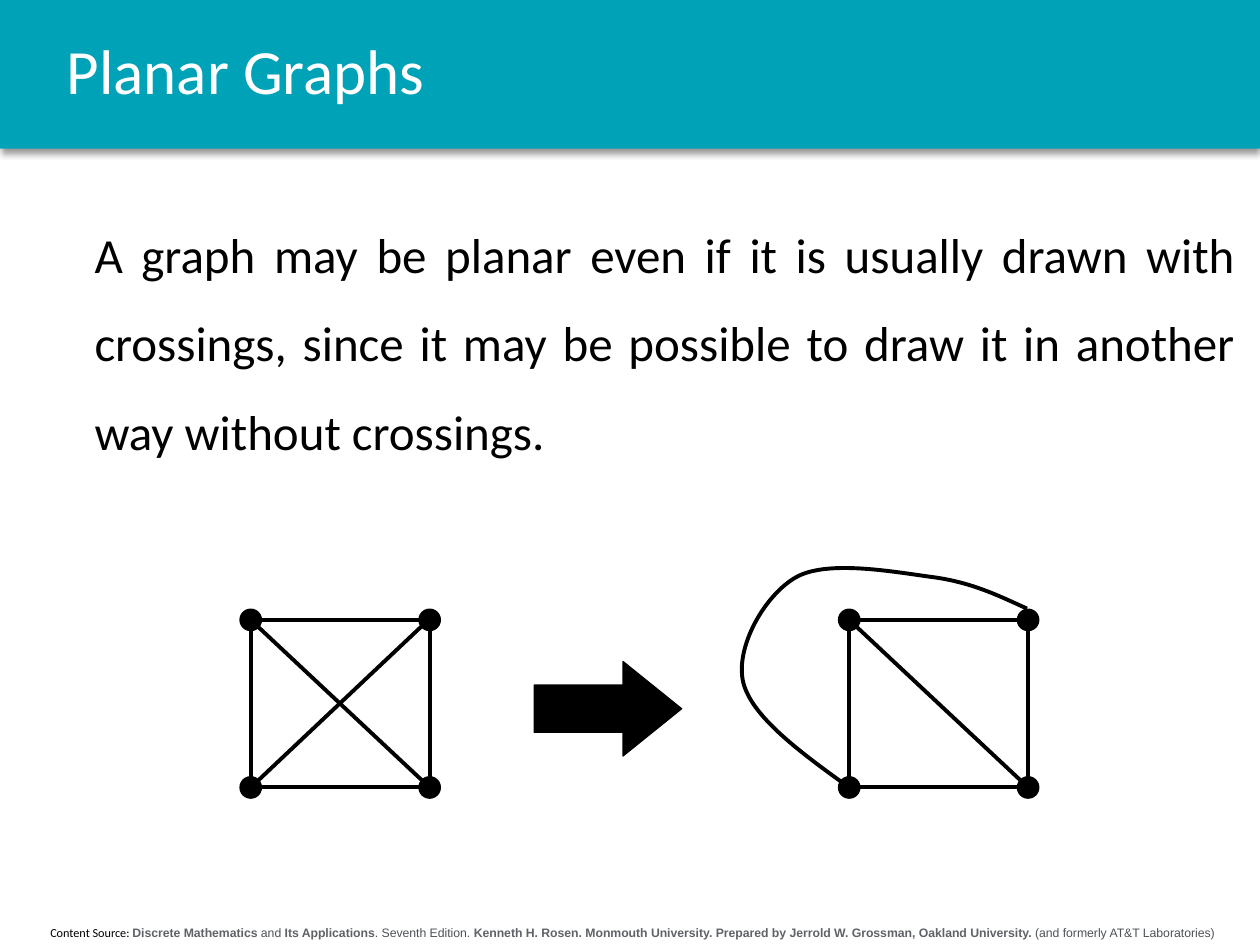
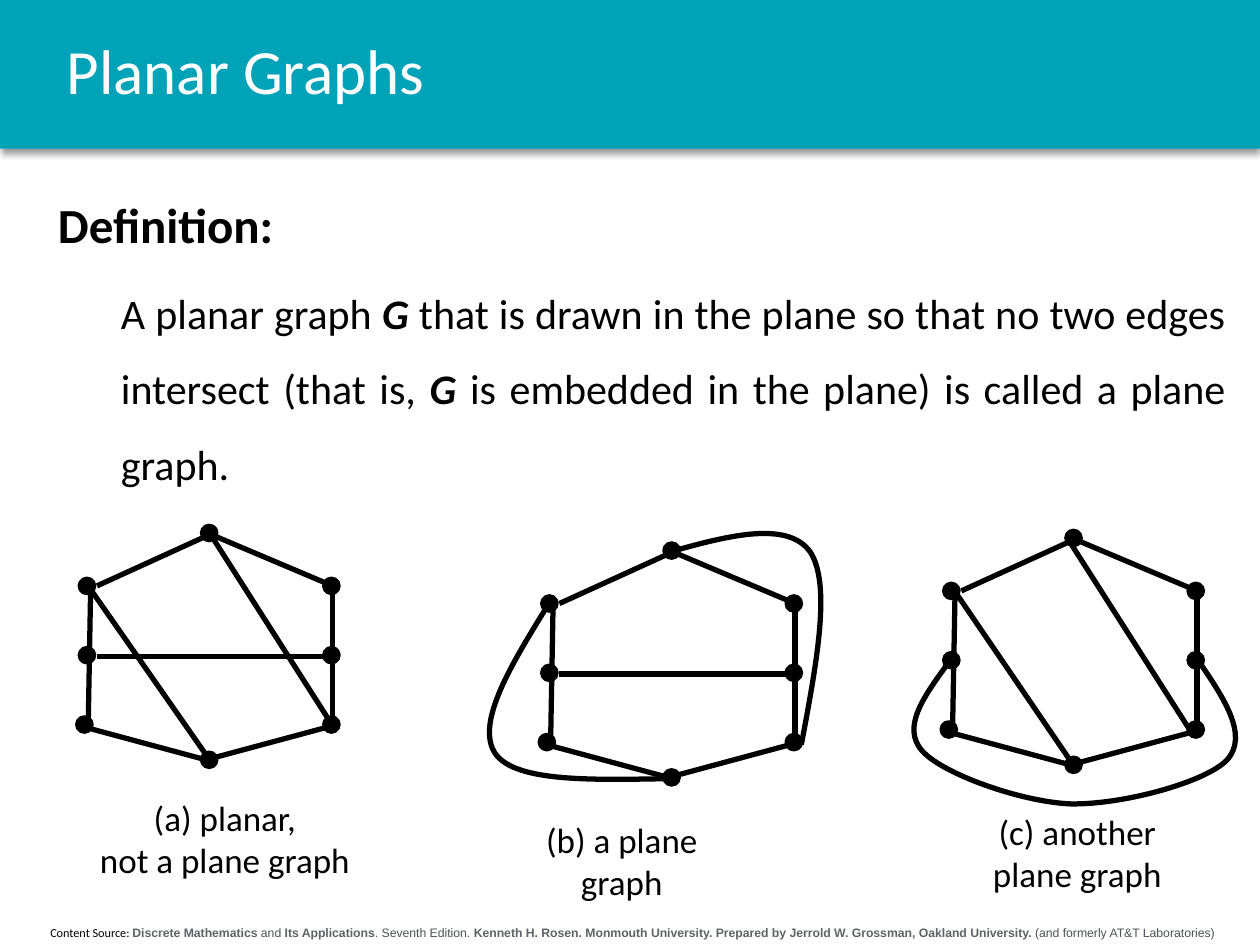
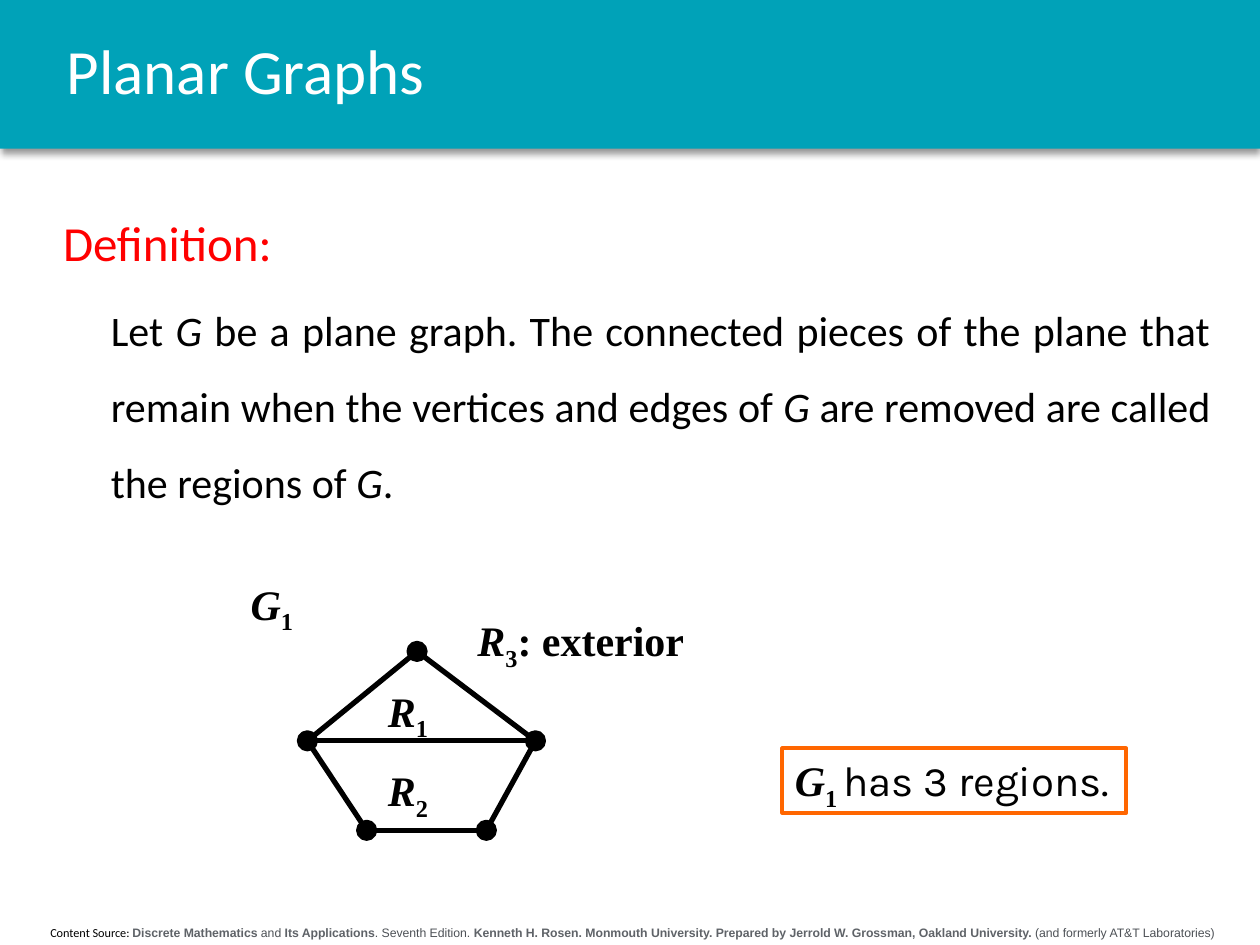
import dataclasses
import typing

import lxml.etree
import pptx
import pptx.dml.color
import pptx.enum.shapes
import pptx.enum.text
import pptx.oxml.ns
import pptx.util

Inches = pptx.util.Inches
Pt = pptx.util.Pt
RGBColor = pptx.dml.color.RGBColor
ALIGN = pptx.enum.text.PP_ALIGN
SHAPE = pptx.enum.shapes.MSO_SHAPE
qn = pptx.oxml.ns.qn

TEAL = RGBColor(0x00, 0xA2, 0xB8)
WHITE = RGBColor(0xFF, 0xFF, 0xFF)
BLACK = RGBColor(0x00, 0x00, 0x00)
RED = RGBColor(0xFF, 0x00, 0x00)
ORANGE = RGBColor(0xFF, 0x66, 0x00)
GREY = RGBColor(0x5F, 0x63, 0x68)
DARK_GREY = RGBColor(0x4D, 0x51, 0x56)

SANS = "Calibri"
SERIF = "Times New Roman"


@dataclasses.dataclass
class Run:
    text: str
    bold: typing.Optional[bool] = None
    italic: typing.Optional[bool] = None
    subscript: bool = False
    font: typing.Optional[str] = None
    color: typing.Optional[RGBColor] = None


@dataclasses.dataclass
class BodyParagraph:
    runs: list
    size: int
    color: RGBColor = BLACK
    bold: bool = False
    margin: float = 0


class Deck:
    """Holds the shared style and the slide being drawn."""

    def __init__(self):
        self.presentation = pptx.Presentation()
        self.presentation.slide_width = Inches(10)
        self.presentation.slide_height = Inches(7.5)
        self.layout = self.presentation.slide_layouts[1]
        self.slide = None
        self.shapes = None

    # Slides and their shared parts
    def new_slide(self, title):
        first = self.slide is None
        self.slide = self.presentation.slides.add_slide(self.layout)
        self.shapes = self.slide.shapes
        if first:
            self.furnish_layout()
        shape = self.slide.shapes.title
        self.place(shape, 0.43, 0, 9.3, 1.18)
        shape.text_frame.vertical_anchor = pptx.enum.text.MSO_ANCHOR.MIDDLE
        paragraph = shape.text_frame.paragraphs[0]
        paragraph.line_spacing = 0.9
        self.add_runs(paragraph, [Run(title)], 36, color=WHITE,
                      align=ALIGN.LEFT)

    def furnish_layout(self):
        """Build the band and the source line, then move them to the layout."""
        band = self.shape(SHAPE.RECTANGLE, 0, 0, 10, 1.18, TEAL)
        shadow = lxml.etree.SubElement(
            band.element.spPr.find(qn("a:effectLst")), qn("a:outerShdw"),
            blurRad=str(Pt(4)), dist=str(Pt(3)), dir="5400000",
            algn="t", rotWithShape="0")
        color = lxml.etree.SubElement(shadow, qn("a:srgbClr"), val=str(BLACK))
        lxml.etree.SubElement(color, qn("a:alpha"), val="40000")

        footer = self.text(0.04, 7.29, 9.96, 0.22, [
            Run("Content Source: ", font=SANS, color=BLACK),
            Run("Discrete Mathematics", bold=True),
            Run(" and ", color=DARK_GREY),
            Run("Its Applications", bold=True),
            Run(". Seventh Edition. ", color=DARK_GREY),
            Run("Kenneth H. Rosen. Monmouth University. Prepared by "
                "Jerrold W. Grossman, Oakland University.", bold=True),
            Run(" (and formerly AT&T Laboratories)", color=DARK_GREY),
        ], 7, font="Arial", color=GREY, align=ALIGN.CENTER)

        for number, part in enumerate((band, footer)):
            part.element.nvSpPr.cNvPr.set("id", str(100 + number))
            self.layout.shapes.element.append(part.element)

    def group(self):
        """Send the following shapes to a new group."""
        self.shapes = self.slide.shapes.add_group_shape().shapes

    def end_group(self):
        self.shapes = self.slide.shapes

    # Text
    def place(self, shape, left, top, width, height):
        shape.left, shape.top = Inches(left), Inches(top)
        shape.width, shape.height = Inches(width), Inches(height)

    def add_runs(self, paragraph, runs, size, font=SANS, color=BLACK,
                 bold=False, align=None):
        paragraph.alignment = align
        paragraph.font.size = Pt(size)
        paragraph.font.name = font
        paragraph.font.bold = bold
        paragraph.font.color.rgb = color
        for item in runs:
            for index, line in enumerate(item.text.split("\n")):
                if index:
                    paragraph.add_line_break()
                run = paragraph.add_run()
                run.text = line
                run.font.bold = item.bold
                run.font.italic = item.italic
                run.font.name = item.font
                if item.color is not None:
                    run.font.color.rgb = item.color
                if item.subscript:
                    run.font._element.set("baseline", "-25000")

    def body(self, left, top, width, height, paragraphs):
        shape = self.slide.placeholders[1]
        self.place(shape, left, top, width, height)
        frame = shape.text_frame
        frame.auto_size = pptx.enum.text.MSO_AUTO_SIZE.NONE
        for index, item in enumerate(paragraphs):
            paragraph = frame.add_paragraph() if index else frame.paragraphs[0]
            properties = paragraph._p.get_or_add_pPr()
            properties.set("marL", str(Inches(item.margin)))
            properties.set("indent", "0")
            lxml.etree.SubElement(properties, qn("a:buNone"))
            paragraph.line_spacing = 1.5
            paragraph.space_before = Pt(5 if index else 0)
            self.add_runs(paragraph, item.runs, item.size, color=item.color,
                          bold=item.bold, align=ALIGN.JUSTIFY)

    def text(self, left, top, width, height, runs, size, wrap=True, **style):
        shape = self.shapes.add_textbox(
            Inches(left), Inches(top), Inches(width), Inches(height))
        shape.text_frame.word_wrap = wrap
        self.add_runs(shape.text_frame.paragraphs[0], runs, size, **style)
        return shape

    def symbol(self, left, top, width, letter, index, rest=""):
        """A bold serif letter with a subscript."""
        runs = [Run(letter, italic=True), Run(index, subscript=True)]
        if rest:
            runs.append(Run(rest))
        self.text(left, top, width, 0.51, runs, 24, wrap=False, font=SERIF,
                  bold=True)

    # Shapes
    def shape(self, kind, left, top, width, height, fill=None, line=None,
              weight=0.75):
        shape = self.shapes.add_shape(
            kind, Inches(left), Inches(top), Inches(width), Inches(height))
        self.paint(shape, fill, line, weight)
        return shape

    def paint(self, shape, fill, line, weight):
        shape.shadow.inherit = False
        if fill is None:
            shape.fill.background()
        else:
            shape.fill.solid()
            shape.fill.fore_color.rgb = fill
        if line is None:
            shape.line.fill.background()
        else:
            shape.line.color.rgb = line
            shape.line.width = Pt(weight)

    def edge(self, start, end, weight=3):
        x1, y1, x2, y2 = (Inches(value) for value in (*start, *end))
        connector = self.shapes.add_connector(
            pptx.enum.shapes.MSO_CONNECTOR.STRAIGHT, x1, y1, x2, y2)
        connector.line.color.rgb = BLACK
        connector.line.width = Pt(weight)
        lxml.etree.SubElement(connector.element.spPr, qn("a:effectLst"))

    def vertex(self, center, size, weight=2):
        x, y = center
        self.shape(SHAPE.OVAL, x - size / 2, y - size / 2, size, size,
                   BLACK, BLACK, weight)

    def curve(self, points, weight=3):
        """An open Bezier line: a start, then three points per piece."""
        start, *others = [(Inches(x), Inches(y)) for x, y in points]
        builder = self.shapes.build_freeform(*start)
        builder.add_line_segments(others, close=False)
        shape = builder.convert_to_shape()
        self.paint(shape, None, BLACK, weight)
        outline = next(shape.element.iter(qn("a:path")))
        segments = outline.findall(qn("a:lnTo"))
        for first in range(0, len(segments), 3):
            bezier = lxml.etree.SubElement(outline, qn("a:cubicBezTo"))
            for segment in segments[first:first + 3]:
                bezier.append(segment[0])
                outline.remove(segment)

    # Graphs
    def square_graph(self, left):
        top, width, height = 4.92, 1.42, 1.33
        self.shape(SHAPE.RECTANGLE, left, top, width, height, None, BLACK, 2.25)
        self.edge((left, top), (left + width, top + height), 2.25)
        for x in (left, left + width):
            for y in (top, top + height):
                self.vertex((x, y), 0.17, 0.75)

    def hexagon_graph(self, dx, dy, chords, curves=()):
        """The six sides moved by dx and dy, with extra chords and curves."""
        def moved(point):
            return point[0] + dx, point[1] + dy

        self.group()
        for start, end in HEXAGON_EDGES + chords:
            self.edge(moved(start), moved(end))
        for center in HEXAGON_VERTICES:
            self.vertex(moved(center), 0.12)
        for points in curves:
            self.curve(points)
        self.end_group()


HEXAGON_VERTICES = [(1.66, 4.23), (2.63, 4.65), (2.63, 5.2), (2.63, 5.75),
                    (1.66, 6.03), (0.67, 5.75), (0.69, 5.2), (0.69, 4.65)]
HEXAGON_EDGES = [
    ((0.72, 4.65), (0.7, 5.76)), ((1.67, 4.24), (0.77, 4.65)),
    ((1.67, 4.24), (2.64, 4.65)), ((2.64, 4.65), (2.64, 5.76)),
    ((0.63, 5.76), (1.67, 6.04)), ((2.64, 5.76), (1.6, 6.04))]
MIDDLE_CHORD = ((2.64, 5.21), (0.77, 5.21))


def crossings_slide(deck):
    deck.new_slide("Planar Graphs")
    deck.body(0.65, 1.5, 9.25, 2.13, [BodyParagraph([Run(
        "A graph may be planar even if it is usually drawn with crossings, "
        "since it may be possible to draw it in another way without "
        "crossings.")], 28)])

    # Complete graph with crossing diagonals
    deck.group()
    deck.square_graph(1.99)
    deck.edge((1.99, 6.25), (3.4, 4.92), 2.25)

    # Same graph with one diagonal led around
    deck.group()
    deck.square_graph(6.74)
    deck.curve([(8.15, 4.83), (7.93, 4.73), (7.71, 4.62), (7.4, 4.58),
                (7.1, 4.54), (6.57, 4.44), (6.32, 4.58),
                (6.07, 4.72), (5.83, 5.14), (5.9, 5.42),
                (5.97, 5.69), (6.35, 5.97), (6.74, 6.25)], 2.25)
    deck.end_group()

    arrow = deck.shape(SHAPE.RIGHT_ARROW, 4.24, 5.25, 1.17, 0.75, BLACK, BLACK)
    arrow.adjustments[1] = 0.62


def plane_graph_slide(deck):
    deck.new_slide("Planar Graphs")
    letter = Run("G", bold=True, italic=True)
    deck.body(0.36, 1.26, 9.47, 2.13, [
        BodyParagraph([Run("Definition:")], 28, bold=True),
        BodyParagraph([
            Run("A planar graph "), letter,
            Run(" that is drawn in the plane so that no two edges intersect "
                "(that is, "), letter,
            Run(" is embedded in the plane) is called a plane graph."),
        ], 24, margin=0.5)])

    # Three drawings of one graph
    deck.hexagon_graph(0, 0, [MIDDLE_CHORD, ((0.7, 4.65), (1.67, 6.04)),
                              ((1.67, 4.24), (2.64, 5.76))])
    deck.hexagon_graph(3.67, 0.14, [MIDDLE_CHORD], [
        [(5.32, 4.38), (5.78, 4.25), (6.25, 4.13), (6.43, 4.38),
         (6.6, 4.64), (6.48, 5.27), (6.36, 5.91)],
        [(4.35, 4.8), (4.06, 5.27), (3.77, 5.74), (3.93, 5.98),
         (4.09, 6.21), (4.7, 6.19), (5.32, 6.18)]])
    deck.hexagon_graph(6.86, 0.04, [((0.73, 4.67), (1.63, 5.99)),
                                    ((1.63, 4.26), (2.6, 5.78))], [
        [(7.52, 5.27), (7.34, 5.52), (7.15, 5.77), (7.32, 5.96),
         (7.48, 6.14), (8.09, 6.36), (8.49, 6.38),
         (8.9, 6.39), (9.57, 6.21), (9.74, 6.03),
         (9.91, 5.84), (9.72, 5.55), (9.53, 5.27)]])

    # Captions
    for left, top, width, caption in (
            (0.59, 6.27, 2.39, "(a) planar,\nnot a plane graph"),
            (3.91, 6.45, 2.05, "(b) a plane graph"),
            (7.49, 6.38, 2.12, "(c) another\nplane graph")):
        deck.text(left, top, width, 0.78, [Run(caption)], 20,
                  align=ALIGN.CENTER)


def regions_slide(deck):
    deck.new_slide("Planar Graphs")
    letter = Run("G", italic=True)
    deck.body(0.4, 1.4, 9.31, 1.84, [
        BodyParagraph([Run("Definition:")], 28, color=RED),
        BodyParagraph([
            Run("Let "), letter,
            Run(" be a plane graph. The connected pieces of the plane that "
                "remain when the vertices and edges of "), letter,
            Run(" are removed are called the regions of "), letter, Run("."),
        ], 24, margin=0.38)])

    # Graph with three regions
    apex, left, right = (3.31, 5.17), (2.44, 5.88), (4.25, 5.88)
    low_left, low_right = (2.91, 6.59), (3.86, 6.59)
    deck.group()
    for start, end in ((apex, left), (apex, right), (left, right),
                       (left, low_left), (right, low_right),
                       (low_left, low_right)):
        deck.edge(start, end)
    for center in (apex, left, right, low_left, low_right):
        deck.vertex(center, 0.14)
    deck.end_group()

    # Labels
    deck.symbol(1.89, 4.54, 0.55, "G", "1")
    deck.symbol(3.69, 4.83, 1.87, "R", "3", ": exterior")
    deck.symbol(2.98, 5.39, 0.54, "R", "1")
    deck.symbol(2.98, 6.02, 0.54, "R", "2")

    # Result
    result = deck.text(6.21, 5.94, 2.73, 0.51, [
        Run("G", bold=True, italic=True, font=SERIF),
        Run("1 ", bold=True, subscript=True, font=SERIF),
        Run("has 3 regions.")], 24, wrap=False, font="Karla")
    result.line.color.rgb = ORANGE
    result.line.width = Pt(2.25)


def main():
    deck = Deck()
    crossings_slide(deck)
    plane_graph_slide(deck)
    regions_slide(deck)
    deck.presentation.save("out.pptx")


if __name__ == "__main__":
    main()
